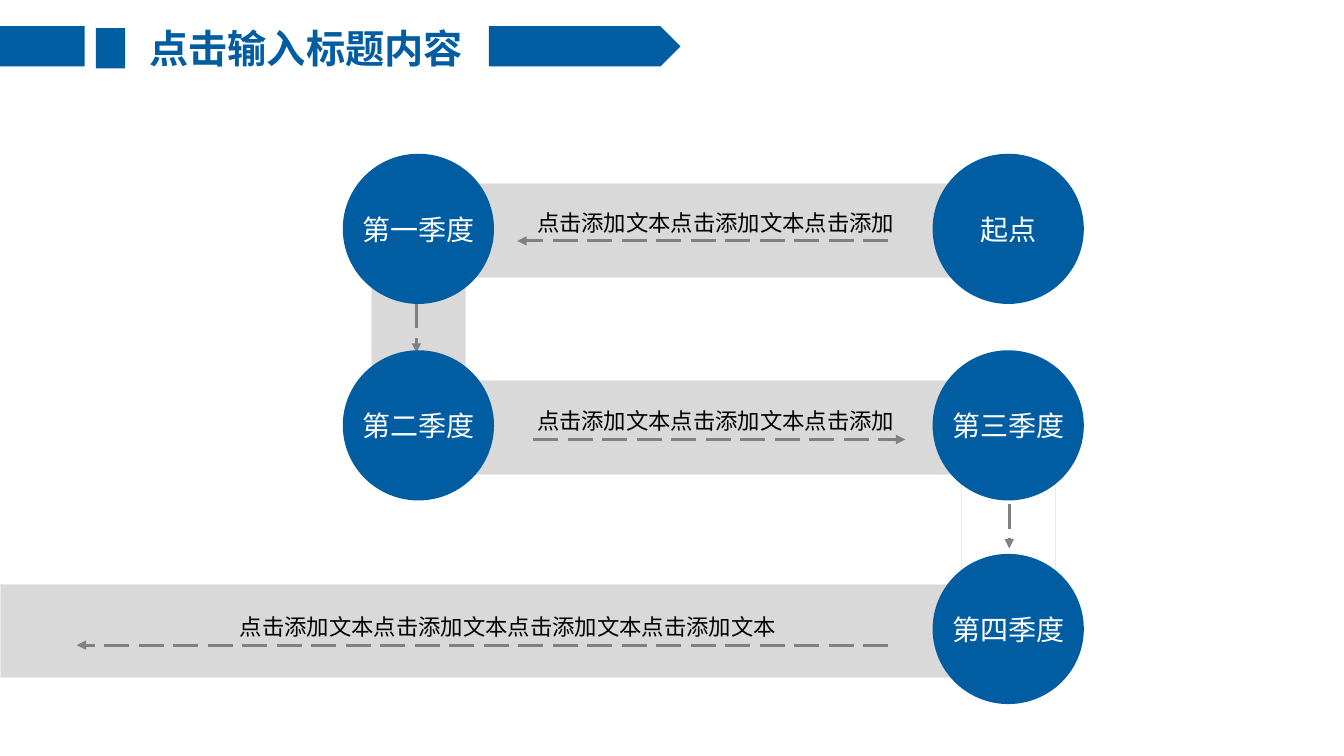
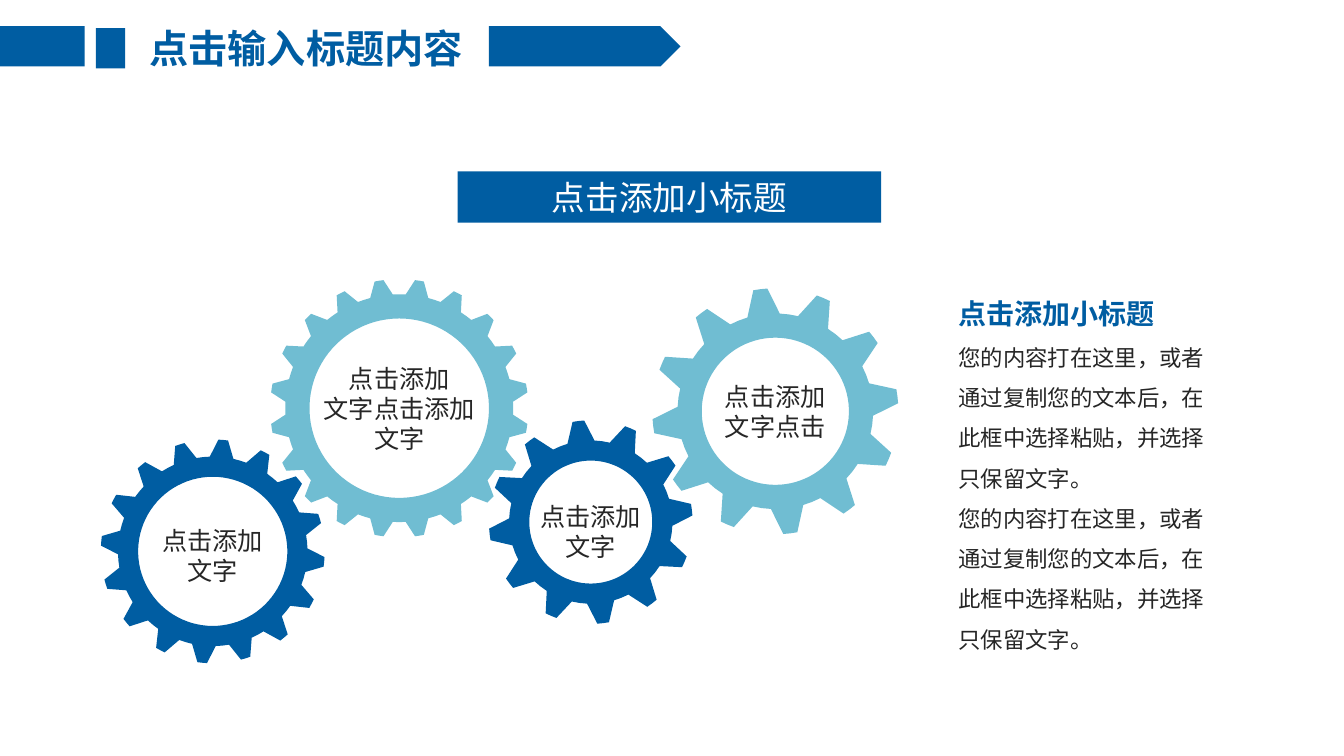
from dataclasses import dataclass
from math import cos, radians, sin

from lxml.etree import SubElement
from pptx import Presentation
from pptx.dml.color import RGBColor
from pptx.enum.dml import MSO_LINE_DASH_STYLE as Dash
from pptx.enum.shapes import MSO_CONNECTOR_TYPE as Connector, MSO_SHAPE as Preset
from pptx.enum.text import MSO_ANCHOR as Anchor, MSO_AUTO_SIZE as AutoSize, PP_ALIGN as Align
from pptx.oxml.ns import qn
from pptx.util import Inches, Pt


@dataclass(frozen=True)
class Theme:
    blue: str = "005DA2"
    light_blue: str = "70BDD2"
    band: str = "D9D9D9"
    edge: str = "EAEAEA"
    arrow: str = "808080"
    white: str = "FFFFFF"
    black: str = "000000"
    ink: str = "262626"
    cjk: str = "Noto Sans CJK SC"
    latin: str = "Calibri"
    title: int = 28
    banner: int = 24
    heading: int = 20
    gear: int = 18
    body: int = 16


THEME = Theme()
WIDTH, HEIGHT = 13.33, 7.5

TITLE = "点击输入标题内容"
HEADER_BLOCKS = [
    (Preset.PENTAGON, (4.85, 0.26, 1.9, 0.4)),
    (Preset.RECTANGLE, (0, 0.26, 0.84, 0.4)),
    (Preset.RECTANGLE, (0.95, 0.28, 0.29, 0.4)),
]

COLUMNS = (4.15, 10.0)
ROWS = (2.27, 4.22, 6.24)
CIRCLE = (1.5, 1.49)
BAND = 0.93
PHRASE = "点击添加文本"
STOPS = [("起点", 1, 0), ("第一季度", 0, 0), ("第二季度", 0, 1), ("第三季度", 1, 1), ("第四季度", 1, 2)]
ROUTE = [
    {"row": 2, "left": 0, "arrow": (8.81, 6.4, 0.76, 6.4)},
    {"row": 1, "left": 4.05, "arrow": (5.29, 4.36, 8.98, 4.36)},
    {"column": 1, "rows": (1, 2), "fill": THEME.white, "arrow": (10.01, 5, 10.01, 5.44)},
    {"row": 0, "left": 4.57, "arrow": (8.81, 2.39, 5.13, 2.39)},
    {"column": 0, "rows": (0, 1), "fill": THEME.band, "arrow": (4.13, 3.01, 4.13, 3.5)},
]
ROUTE_LABELS = [
    (PHRASE * 2 + "点击添加", 5.16, 3.88, 2.39),
    (PHRASE * 2 + "点击添加", 5.16, 3.88, 4.36),
    (PHRASE * 4, 1.27, 7.54, 6.4),
]

SUBTITLE = "点击添加小标题"
BODY = "您的内容打在这里，或者通过复制您的文本后，在此框中选择粘贴，并选择只保留文字。"
GEARS = [
    {"lines": ["点击添加", "文字点击添加", "文字"], "center": (3.96, 4.05), "radii": (1.28, 1.13, 0.89),
     "teeth": 20, "turn": 9, "drop": 0, "fill": THEME.light_blue},
    {"lines": ["点击添加", "文字"], "center": (5.86, 5.18), "radii": (1.01, 0.81, 0.61),
     "teeth": 12, "turn": -7, "drop": 0.09, "fill": THEME.blue},
    {"lines": ["点击添加", "文字"], "center": (2.11, 5.47), "radii": (1.11, 0.94, 0.74),
     "teeth": 16, "turn": 5.4, "drop": 0.04, "fill": THEME.blue},
    {"lines": ["点击添加", "文字点击"], "center": (7.69, 4.08), "radii": (1.22, 0.97, 0.73),
     "teeth": 12, "turn": -7, "drop": 0, "fill": THEME.light_blue},
]
TIP_SHARE, BASE_SHARE = 0.11, 0.32


def paint(shape, fill, line=None):
    shape.shadow.inherit = False
    shape.fill.solid()
    shape.fill.fore_color.rgb = RGBColor.from_string(fill)
    if line:
        shape.line.color.rgb = RGBColor.from_string(line)
        shape.line.width = Pt(0.75)
    else:
        shape.line.fill.background()


def add_block(slide, preset, box, fill, line=None):
    shape = slide.shapes.add_shape(preset, *map(Inches, box))
    paint(shape, fill, line)
    return shape


def write(shape, lines, size, color, align=Align.CENTER, anchor=Anchor.MIDDLE,
          spacing=None, bold=False, latin=THEME.cjk, wrap=True):
    frame = shape.text_frame
    frame.word_wrap = wrap
    frame.vertical_anchor = anchor
    for index, text in enumerate(lines):
        paragraph = frame.add_paragraph() if index else frame.paragraphs[0]
        paragraph.alignment = align
        if spacing:
            paragraph.line_spacing = spacing
        add_run(paragraph, text, size, color, bold, latin)


def add_run(paragraph, text, size, color, bold, latin):
    run = paragraph.add_run()
    run.text = text
    run.font.size = Pt(size)
    run.font.bold = bold
    run.font.name = latin
    run.font.color.rgb = RGBColor.from_string(color)
    SubElement(run.font._element, qn("a:ea")).set("typeface", THEME.cjk)


def add_text(slide, box, lines, size, color, **style):
    shape = slide.shapes.add_textbox(*map(Inches, box))
    write(shape, lines, size, color, **style)
    shape.text_frame.auto_size = AutoSize.SHAPE_TO_FIT_TEXT
    return shape


def add_arrow(slide, ends):
    arrow = slide.shapes.add_connector(Connector.STRAIGHT, *map(Inches, ends))
    arrow.line.color.rgb = RGBColor.from_string(THEME.arrow)
    arrow.line.width = Pt(2.25)
    arrow.line.dash_style = Dash.LONG_DASH
    SubElement(arrow.line._get_or_add_ln(), qn("a:tailEnd")).set("type", "triangle")
    SubElement(arrow._element.spPr, qn("a:effectLst"))


def add_header(slide):
    add_text(slide, (1.24, 0.19, 3.59, 0.57), [TITLE], THEME.title, THEME.blue,
             anchor=Anchor.TOP, bold=True)
    for preset, box in HEADER_BLOCKS:
        add_block(slide, preset, box, THEME.blue)


def polar(center, radius, degrees):
    angle = radians(degrees)
    return Inches(center[0] + radius * sin(angle)), Inches(center[1] - radius * cos(angle))


def add_gear(slide, gear):
    center, (outer, root, hole) = gear["center"], gear["radii"]
    step = 360 / gear["teeth"]
    profile = [(-BASE_SHARE, root), (-TIP_SHARE, outer), (0, outer), (TIP_SHARE, outer),
               (BASE_SHARE, root), (0.5, root)]
    rim = [polar(center, radius, gear["turn"] + (tooth + share) * step)
           for tooth in range(gear["teeth"]) for share, radius in profile]
    bore = [polar(center, hole, -degrees) for degrees in range(0, 360, 4)]
    builder = slide.shapes.build_freeform(*rim[0])
    builder.add_line_segments(rim[1:], close=True)
    builder.move_to(*bore[0])
    builder.add_line_segments(bore[1:], close=True)
    paint(builder.convert_to_shape(), gear["fill"])


def add_gear_text(slide, gear):
    lines, (x, y) = gear["lines"], gear["center"]
    width = 0.25 * max(map(len, lines)) + 0.23
    height = 0.3 * len(lines) + 0.11
    box = (x - width / 2, y + gear["drop"] - height / 2, width, height)
    add_text(slide, box, lines, THEME.gear, THEME.ink)


def build_route(slide):
    for leg in ROUTE:
        if "row" in leg:
            box = (leg["left"], ROWS[leg["row"]] + 0.02 - BAND / 2, 10.45 - leg["left"], BAND)
            fill = THEME.band
        else:
            top, bottom = (ROWS[row] for row in leg["rows"])
            box = (COLUMNS[leg["column"]] - BAND / 2, top, BAND, bottom - top)
            fill = leg["fill"]
        add_block(slide, Preset.RECTANGLE, box, fill, THEME.edge)
        add_arrow(slide, leg["arrow"])
    for name, column, row in STOPS:
        box = (COLUMNS[column] - CIRCLE[0] / 2, ROWS[row] - CIRCLE[1] / 2, *CIRCLE)
        circle = add_block(slide, Preset.OVAL, box, THEME.blue)
        write(circle, [name], THEME.heading, THEME.white, latin=THEME.latin, wrap=False)
    for text, left, width, arrow_y in ROUTE_LABELS:
        add_text(slide, (left, arrow_y - 0.5, width, 0.5), [text], THEME.body, THEME.black, spacing=1.5)


def build_gears(slide):
    for gear in GEARS:
        add_gear_text(slide, gear)
    side = add_text(slide, (9.41, 2.73, 2.83, 3.84), [SUBTITLE], THEME.heading, THEME.blue,
                    align=Align.LEFT, anchor=Anchor.TOP, spacing=1.5, bold=True)
    for text in (BODY, BODY):
        paragraph = side.text_frame.add_paragraph()
        paragraph.line_spacing = 1.5
        add_run(paragraph, text, THEME.body, THEME.ink, False, THEME.cjk)
    for gear in GEARS:
        add_gear(slide, gear)
    banner = add_block(slide, Preset.RECTANGLE, (4.54, 1.7, 4.2, 0.51), THEME.blue)
    write(banner, [SUBTITLE], THEME.banner, THEME.white)


def main():
    """Build the quarterly route and the gear train slides."""
    presentation = Presentation()
    presentation.slide_width, presentation.slide_height = Inches(WIDTH), Inches(HEIGHT)
    for build in (build_route, build_gears):
        slide = presentation.slides.add_slide(presentation.slide_layouts[6])
        build(slide)
        add_header(slide)
    presentation.save("out.pptx")


if __name__ == "__main__":
    main()
